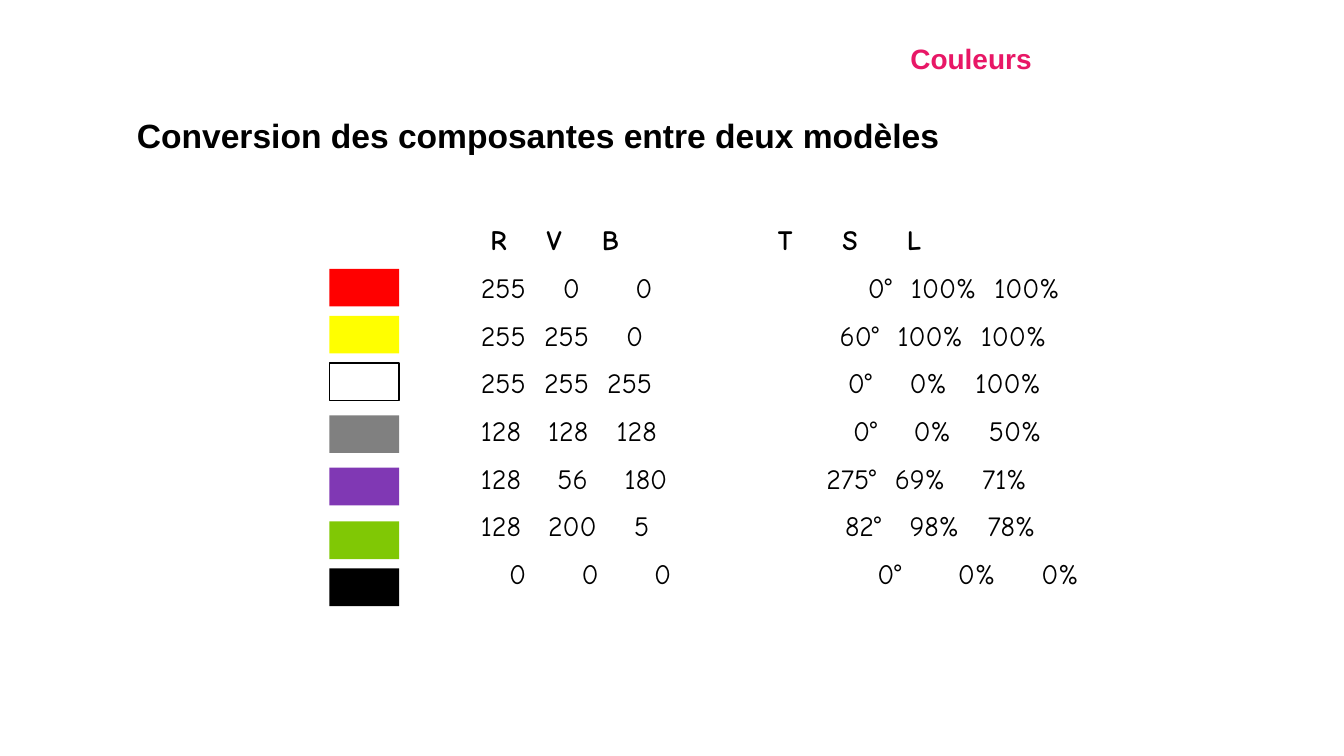
from pptx import Presentation
from pptx import util as u
from pptx.dml.color import RGBColor
from pptx.enum import shapes, text
from pptx.oxml.ns import qn
from lxml import etree

HUES = {"ink": "000000", "pink": "E81766"}
WIDE = 10
SWATCH = [
    (2.0, "FF0000"), (2.35, "FFFF00"), (2.7, "FFFFFF"), (3.09, "808080"),
    (3.48, "8038B4"), (3.88, "80C805"), (4.23, "000000"),
]
ROWS = [
    ("R V B T S L", (0.14, 0.56, 0.97, 2.28, 2.76, 3.24)),
    ("255 0 0 0° 100% 100%", (0.07, 0.68, 1.22, 2.95, 3.27, 3.89)),
    ("255 255 0 60° 100% 100%", (0.07, 0.54, 1.15, 2.74, 3.17, 3.79)),
    ("255 255 255 0° 0% 100%", (0.07, 0.54, 1.01, 2.8, 3.26, 3.75)),
    ("128 128 128 0° 0% 50%", (0.07, 0.57, 1.08, 2.84, 3.29, 3.85)),
    ("128 56 180 275° 69% 71%", (0.07, 0.64, 1.14, 2.64, 3.15, 3.8)),
    ("128 200 5 82° 98% 78%", (0.07, 0.57, 1.21, 2.78, 3.26, 3.84)),
    ("0 0 0 0° 0% 0%", (0.28, 0.82, 1.36, 3.02, 3.62, 4.24)),
]


def paint(hue):
    return RGBColor.from_string(hue)


def style(para, face, size, hue, bold):
    for run in para.runs:
        font = run.font
        font.name, font.size, font.bold = face, u.Pt(size), bold
        font.color.rgb = paint(hue)


def frame(slide, area, wrap=True):
    body = slide.shapes.add_textbox(*map(u.Inches, area)).text_frame
    body.word_wrap = wrap
    return body


def label(slide, words, area, size, hue, wrap=True):
    body = frame(slide, area, wrap)
    body.text = words
    style(body.paragraphs[0], "Arial", size, hue, True)
    return body.paragraphs[0]


def stops(para, places):
    tabs = etree.SubElement(para._p.get_or_add_pPr(), qn("a:tabLst"))
    for place in places:
        etree.SubElement(tabs, qn("a:tab"), pos=str(u.Inches(place)), algn="l")


deck = Presentation()
deck.slide_width, deck.slide_height = u.Inches(WIDE), u.Inches(WIDE * 9 / 16)
slide = deck.slides.add_slide(deck.slide_layouts[6])

topic = label(slide, "Couleurs", (6.14, 0.26, 2.17, 0.25), 15, HUES["pink"], False)
topic.alignment = text.PP_ALIGN.CENTER

body = frame(slide, (3.41, 1.61, 4.94, 3))
for i, (words, places) in enumerate(ROWS):
    para = body.add_paragraph() if i else body.paragraphs[0]
    stops(para, places)
    para.text = "".join("\t" + word for word in words.split())
    if i:
        para.space_before = u.Pt(7.5)
    style(para, "Comic Neue", 15, HUES["ink"], i == 0)

for top, hue in SWATCH:
    area = map(u.Inches, (2.45, top, 0.52, 0.28))
    chip = slide.shapes.add_shape(shapes.MSO_SHAPE.RECTANGLE, *area)
    chip.shadow.inherit = False
    chip.fill.solid()
    chip.fill.fore_color.rgb = paint(hue)
    if hue == "FFFFFF":
        chip.line.color.rgb = paint(HUES["ink"])
        chip.line.width = u.Pt(0.75)
    else:
        chip.line.fill.background()

label(slide, "Conversion des composantes entre deux modèles",
      (0.92, 0.81, 7.21, 0.4), 18, HUES["ink"])
deck.save("out.pptx")
